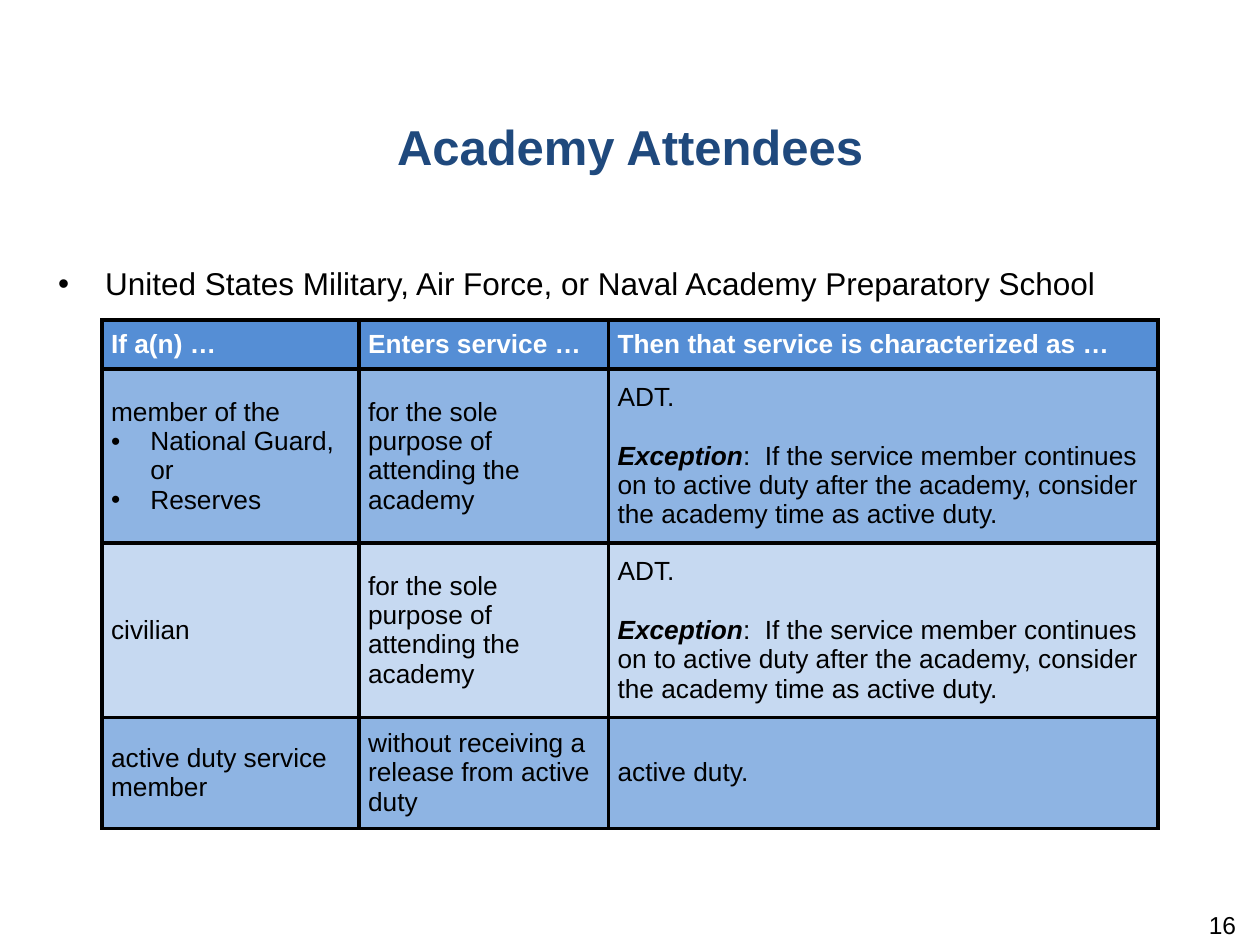
import pptx
import pptx.dml.color
import pptx.enum.text
import pptx.oxml
import pptx.oxml.ns
import pptx.util
from pptx.util import Cm, Pt

RGBColor = pptx.dml.color.RGBColor
PP_ALIGN = pptx.enum.text.PP_ALIGN
MSO_ANCHOR = pptx.enum.text.MSO_ANCHOR

NAVY = RGBColor(0x1F, 0x49, 0x7D)
BLACK = RGBColor(0, 0, 0)
WHITE = RGBColor(0xFF, 0xFF, 0xFF)
HEADER_BLUE = RGBColor(0x55, 0x8E, 0xD5)
MID_BLUE = RGBColor(0x8E, 0xB4, 0xE3)
PALE_BLUE = RGBColor(0xC6, 0xD9, 0xF1)

FONT = "Arial"
TABLE_SIZE = 15
CELL_MARGIN = Cm(0.18)
BORDER_WIDTH = Pt(2.25)
COLUMN_WIDTHS = (Cm(5.18), Cm(5.03), Cm(11.07))
ROW_HEIGHTS = (Cm(0.99), Cm(3.51), Cm(3.51), Cm(2.24))
ROW_FILLS = (HEADER_BLUE, MID_BLUE, PALE_BLUE, MID_BLUE)

SOLE_PURPOSE = "for the sole purpose of attending the academy"
EXCEPTION = "Exception"
EXCEPTION_RULE = (":\u00a0 If the service member continues on to active duty after "
                  "the academy, consider the academy time as active duty.")
ADT = ["ADT.", (EXCEPTION, EXCEPTION_RULE)]
BULLETS = ("National Guard, or", "Reserves")
ROWS = (
    (["If a(n) …"], ["Enters service …"], ["Then that service is characterized as …"]),
    (["member of the", *BULLETS], [SOLE_PURPOSE], ADT),
    (["civilian"], [SOLE_PURPOSE], ADT),
    (["active duty service member"], ["without receiving a release from active duty"],
     ["active duty."]),
)


def add_text(paragraph, text, size=TABLE_SIZE, color=BLACK, bold=False, italic=False,
             align=PP_ALIGN.LEFT):
    paragraph.alignment = align
    run = paragraph.add_run()
    run.text = text
    font = run.font
    font.name, font.size, font.bold, font.italic = FONT, Pt(size), bold, italic
    font.color.rgb = color


def add_bullet(paragraph, indent):
    properties = paragraph._p.get_or_add_pPr()
    properties.set("marL", str(indent))
    properties.set("indent", str(-indent))
    for xml in (f'<a:buClr {{}}><a:srgbClr val="{BLACK}"/></a:buClr>',
                f'<a:buFont {{}} typeface="{FONT}"/>', '<a:buChar {} char="•"/>'):
        properties.append(pptx.oxml.parse_xml(xml.format(pptx.oxml.ns.nsdecls("a"))))


def place(shape, left, top, width, height):
    shape.left, shape.top, shape.width, shape.height = left, top, width, height


def set_frame(frame, horizontal, above, below):
    """Wrap the text from the top of its box, with the given margins."""
    frame.word_wrap = True
    frame.auto_size = pptx.enum.text.MSO_AUTO_SIZE.NONE
    frame.vertical_anchor = MSO_ANCHOR.TOP
    frame.margin_left = frame.margin_right = horizontal
    frame.margin_top, frame.margin_bottom = above, below


def fill_title(slide, *box):
    title = slide.shapes.title
    place(title, *box)
    set_frame(title.text_frame, Cm(0.25), Cm(0.13), Cm(0.13))
    add_text(title.text_frame.paragraphs[0], "Academy Attendees", size=28, color=NAVY,
             bold=True, align=PP_ALIGN.CENTER)


def fill_body(slide, *box):
    body = slide.placeholders[1]
    place(body, *box)
    set_frame(body.text_frame, Cm(0.2), Cm(0.1), Cm(0.1))
    school = body.text_frame.paragraphs[0]
    add_bullet(school, Cm(0.95))
    school.space_before, school.space_after = Pt(0), Pt(6)
    add_text(school, "United States Military, Air Force, or Naval Academy Preparatory School",
             size=18)


def add_borders(cell):
    properties = cell._tc.get_or_add_tcPr()
    for side in ("lnL", "lnR", "lnT", "lnB"):
        properties.append(pptx.oxml.parse_xml(
            f'<a:{side} {pptx.oxml.ns.nsdecls("a")} w="{BORDER_WIDTH}"><a:solidFill>'
            f'<a:srgbClr val="{BLACK}"/></a:solidFill></a:{side}>'))


def fill_cell(cell, lines, fill, **text_format):
    add_borders(cell)
    cell.fill.solid()
    cell.fill.fore_color.rgb = fill
    cell.vertical_anchor = MSO_ANCHOR.MIDDLE
    cell.margin_left = cell.margin_right = CELL_MARGIN
    cell.margin_top = cell.margin_bottom = CELL_MARGIN
    frame = cell.text_frame
    for index, line in enumerate(lines):
        paragraph = frame.add_paragraph() if index else frame.paragraphs[0]
        if isinstance(line, tuple):
            label, rule = line
            paragraph.space_before = Pt(17)
            add_text(paragraph, label, bold=True, italic=True)
            add_text(paragraph, rule)
            continue
        if line in BULLETS:
            add_bullet(paragraph, Cm(0.79))
        add_text(paragraph, line, **text_format)


def add_service_table(slide, left, top):
    table = slide.shapes.add_table(len(ROWS), len(COLUMN_WIDTHS), left, top,
                                   sum(COLUMN_WIDTHS), sum(ROW_HEIGHTS)).table
    table.horz_banding = False
    for column, width in zip(table.columns, COLUMN_WIDTHS):
        column.width = width
    for index, (row, height, fill) in enumerate(zip(table.rows, ROW_HEIGHTS, ROW_FILLS)):
        row.height = height
        text_format = {} if index else {"color": WHITE, "bold": True}
        for cell, lines in zip(row.cells, ROWS[index]):
            fill_cell(cell, lines, fill, **text_format)


def add_page_number(slide, *box):
    frame = slide.shapes.add_textbox(*box).text_frame
    set_frame(frame, Cm(0.25), Cm(0), Cm(0.13))
    add_text(frame.paragraphs[0], "16", size=14, align=PP_ALIGN.RIGHT)


def main():
    presentation = pptx.Presentation()
    presentation.slide_width, presentation.slide_height = Cm(25.4), Cm(19.05)
    slide = presentation.slides.add_slide(presentation.slide_layouts[1])
    fill_title(slide, Cm(0), Cm(2.21), presentation.slide_width, Cm(3.02))
    add_service_table(slide, Cm(2.06), Cm(6.45))
    add_page_number(slide, Cm(19.25), Cm(18.34), Cm(5.92), Cm(1.02))
    fill_body(slide, Cm(0.97), Cm(5.23), Cm(22.81), Cm(1.12))
    presentation.save("out.pptx")


if __name__ == "__main__":
    main()
